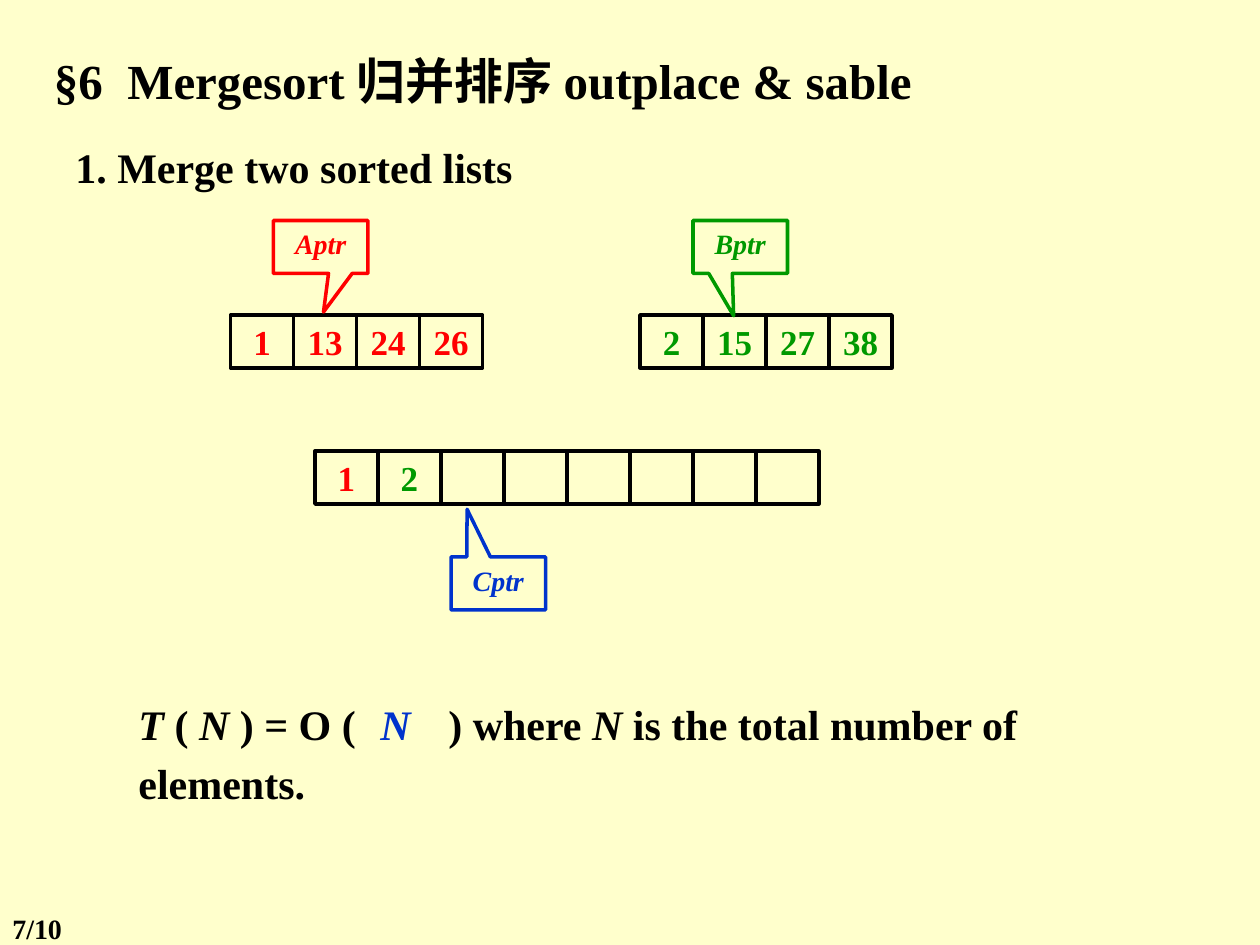
from dataclasses import dataclass

from lxml.etree import SubElement
from pptx import Presentation
from pptx.dml.color import RGBColor
from pptx.enum.shapes import MSO_SHAPE as SHAPE
from pptx.enum.text import MSO_ANCHOR as ANCHOR, MSO_AUTO_SIZE as AUTO, PP_ALIGN as ALIGN
from pptx.oxml.ns import qn
from pptx.util import Inches, Pt


@dataclass(frozen=True)
class Theme:
    font: str = "Times New Roman"
    paper: str = "FFFFCC"
    ink: str = "000000"
    list_a: str = "FF0000"
    list_b: str = "009900"
    list_c: str = "0033CC"
    title: int = 28
    body: int = 24
    cell: int = 20
    small: int = 16
    line: int = 2
    leading: float = 1.18


T = Theme()
CELL_W, CELL_H = 0.5, 0.42


def add_run(p, text, size, color, italic=False):
    r = p.add_run()
    r.text = text
    style = {"name": T.font, "size": Pt(size), "bold": True, "italic": italic}
    for key, value in style.items():
        setattr(r.font, key, value)
    r.font.color.rgb = RGBColor.from_string(color)


def add_text(s, box, runs, size, color=T.ink, wrap=True):
    """Place a text box; runs are (text, italic) pairs."""
    tf = s.shapes.add_textbox(*map(Inches, box)).text_frame
    tf.word_wrap = wrap
    tf.auto_size = AUTO.SHAPE_TO_FIT_TEXT
    p = tf.paragraphs[0]
    p.line_spacing = T.leading
    for text, italic in runs:
        add_run(p, text, size, color, italic)
    return p


def add_outline(s, kind, box, color):
    sp = s.shapes.add_shape(kind, *map(Inches, box))
    sp.shadow.inherit = False
    sp.fill.background()
    sp.line.color.rgb = RGBColor.from_string(color)
    sp.line.width = Pt(T.line)
    sp.text_frame.paragraphs[0].alignment = ALIGN.CENTER
    return sp


def add_array(s, left, top, cells):
    """Draw a row of touching cells; cells are (text, color) pairs."""
    for i, (text, color) in enumerate(cells):
        box = (left + i * CELL_W, top, CELL_W, CELL_H)
        tf = add_outline(s, SHAPE.RECTANGLE, box, T.ink).text_frame
        tf.word_wrap = False
        tf.vertical_anchor = ANCHOR.MIDDLE
        if text:
            add_run(tf.paragraphs[0], text, T.cell, color)


def add_pointer(s, left, top, text, color, tip):
    box = (left, top, 0.75, CELL_H)
    sp = add_outline(s, SHAPE.RECTANGULAR_CALLOUT, box, color)
    for i, value in enumerate(tip):
        sp.adjustments[i] = value
    tf = sp.text_frame
    tf.margin_left = tf.margin_right = Inches(0.02)
    tf.vertical_anchor = ANCHOR.TOP
    add_run(tf.paragraphs[0], text, T.small, color, italic=True)


def add_tab_stop(p, position):
    tabs = SubElement(p._p.get_or_add_pPr(), qn("a:tabLst"))
    SubElement(tabs, qn("a:tab"), pos=str(Inches(position)), algn="l")


def main():
    prs = Presentation()
    prs.slide_width, prs.slide_height = Inches(10), Inches(7.5)
    s = prs.slides.add_slide(prs.slide_layouts[6])
    s.background.fill.solid()
    s.background.fill.fore_color.rgb = RGBColor.from_string(T.paper)

    # Headings
    title = "§6  Mergesort 归并排序 outplace & sable"
    add_text(s, (0.33, 0.27, 9.67, 0.57), [(title, False)], T.title)
    add_text(s, (0.5, 1, 3.92, 0.5), [("1. Merge two sorted lists", False)], T.body)

    # Sorted inputs and the merged output
    add_array(s, 1.83, 2.5, [(n, T.list_a) for n in ("1", "13", "24", "26")])
    add_array(s, 5.08, 2.5, [(n, T.list_b) for n in ("2", "15", "27", "38")])
    merged = [("1", T.list_a), ("2", T.list_b)]
    add_array(s, 2.5, 3.58, merged + [("", T.ink)] * 6)

    # Pointers to the current cells
    add_pointer(s, 2.17, 1.75, "Aptr", T.list_a, (0.03, 1.23))
    add_pointer(s, 5.5, 1.75, "Bptr", T.list_b, (-0.07, 1.3))
    add_pointer(s, 3.58, 4.42, "Cptr", T.list_c, (-0.33, -1.4))

    # Running time, with a tabbed gap for the answer
    formula = [("T ", True), ("( ", False), ("N ", True), (") = O (\t) where ", False),
               ("N", True), (" is the total number of elements.", False)]
    p = add_text(s, (1, 5.42, 7.75, 0.9), formula, T.body)
    add_tab_stop(p, 2.46)
    add_text(s, (2.92, 5.42, 0.44, 0.5), [("N", True)], T.body, T.list_c, wrap=False)

    # Page number
    add_text(s, (0, 7.14, 0.83, 0.37), [("7/10", False)], T.small)

    prs.save("out.pptx")


if __name__ == "__main__":
    main()
